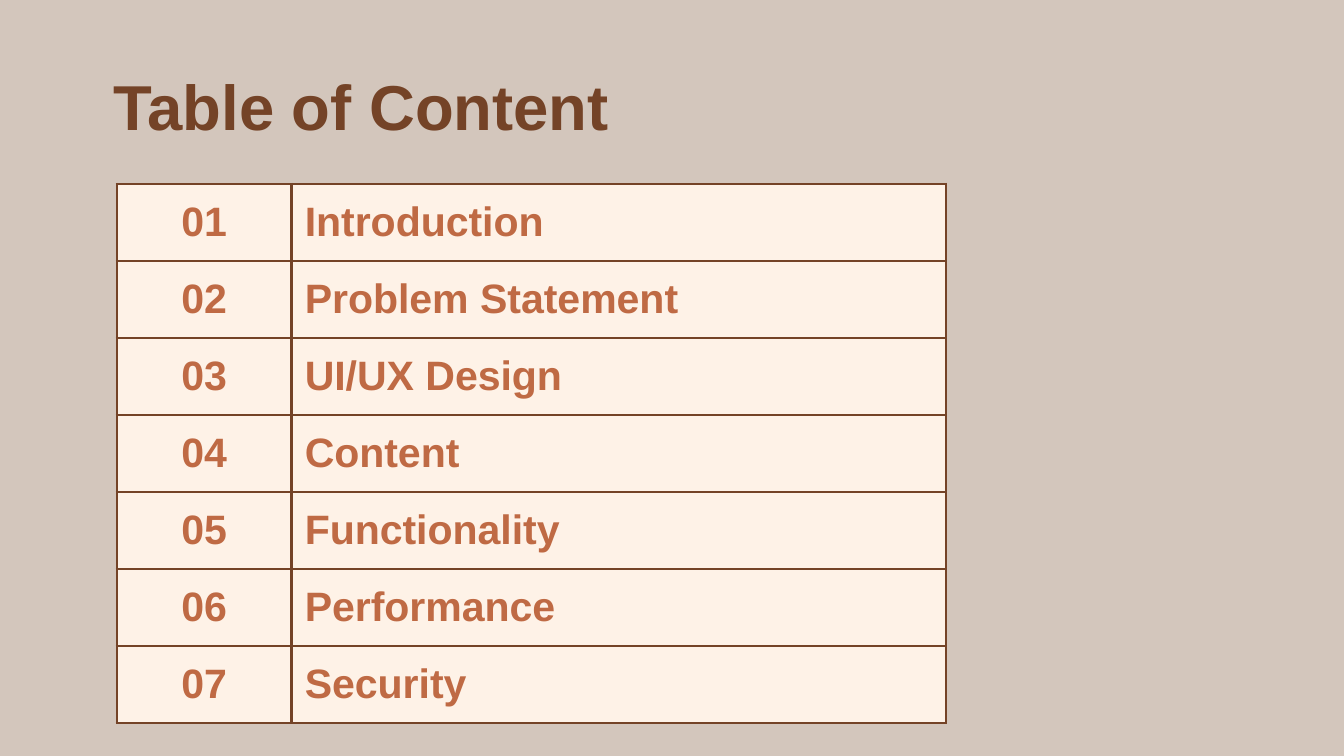
from dataclasses import dataclass

from lxml.etree import SubElement
from pptx import Presentation
from pptx.dml.color import RGBColor
from pptx.enum.text import MSO_ANCHOR, PP_ALIGN
from pptx.oxml.ns import qn
from pptx.util import Cm, Pt


@dataclass(frozen=True)
class Theme:
    back: str = "D3C6BC"
    dark: str = "744327"
    text: str = "BF6A44"
    cell: str = "FEF2E7"
    font: str = "Arial"
    head: float = 34
    body: float = 22
    line: float = 1.5
    inset: float = 0.25


@dataclass(frozen=True)
class Topic:
    mark: str
    name: str


THEME = Theme()
TOPICS = [
    Topic(f"{num:02}", name)
    for num, name in enumerate(
        ["Introduction", "Problem Statement", "UI/UX Design", "Content",
         "Functionality", "Performance", "Security"], 1)
]


def write(frame, text: str, *, size: float, color: str,
          align=PP_ALIGN.LEFT) -> None:
    """Put one bold line of text in a text frame."""
    para = frame.paragraphs[0]
    para.alignment = align
    run = para.add_run()
    run.text = text
    run.font.name = THEME.font
    run.font.size = Pt(size)
    run.font.bold = True
    run.font.color.rgb = RGBColor.from_string(color)


def pad(item) -> None:
    """Give a cell or text frame equal margins."""
    for side in ("left", "top", "right", "bottom"):
        setattr(item, f"margin_{side}", Cm(THEME.inset))


def edge(cell) -> None:
    """Draw all four borders of a cell."""
    props = cell._tc.get_or_add_tcPr()
    for tag in ("a:lnL", "a:lnR", "a:lnT", "a:lnB"):
        line = SubElement(props, qn(tag), w=str(Pt(THEME.line)))
        fill = SubElement(line, qn("a:solidFill"))
        SubElement(fill, qn("a:srgbClr"), val=THEME.dark)


def style(cell, text: str, align) -> None:
    """Format and fill one table cell."""
    edge(cell)
    cell.fill.solid()
    cell.fill.fore_color.rgb = RGBColor.from_string(THEME.cell)
    cell.vertical_anchor = MSO_ANCHOR.MIDDLE
    pad(cell)
    write(cell.text_frame, text, size=THEME.body, color=THEME.text,
          align=align)


def title(slide, text: str) -> None:
    box = slide.shapes.add_textbox(Cm(1.9), Cm(1.02), Cm(21.39), Cm(1.88))
    frame = box.text_frame
    frame.word_wrap = True
    pad(frame)
    write(frame, text, size=THEME.head, color=THEME.dark)


def agenda(slide, topics: list[Topic]) -> None:
    widths = (Cm(3.3), Cm(12.37))
    high = Cm(10.19)
    table = slide.shapes.add_table(
        len(topics), len(widths), Cm(2.21), Cm(3.48), sum(widths), high).table
    table.first_row = table.horz_banding = False
    for col, width in zip(table.columns, widths):
        col.width = width
    for row, topic in zip(table.rows, topics):
        row.height = high // len(topics)
        style(row.cells[0], topic.mark, PP_ALIGN.CENTER)
        style(row.cells[1], topic.name, PP_ALIGN.LEFT)


def main() -> None:
    # Slide and background
    deck = Presentation()
    deck.slide_width, deck.slide_height = Cm(25.4), Cm(14.29)
    slide = deck.slides.add_slide(deck.slide_layouts[6])
    fill = slide.background.fill
    fill.solid()
    fill.fore_color.rgb = RGBColor.from_string(THEME.back)

    # Heading and list of topics
    title(slide, "Table of Content")
    agenda(slide, TOPICS)
    deck.save("out.pptx")


if __name__ == "__main__":
    main()
